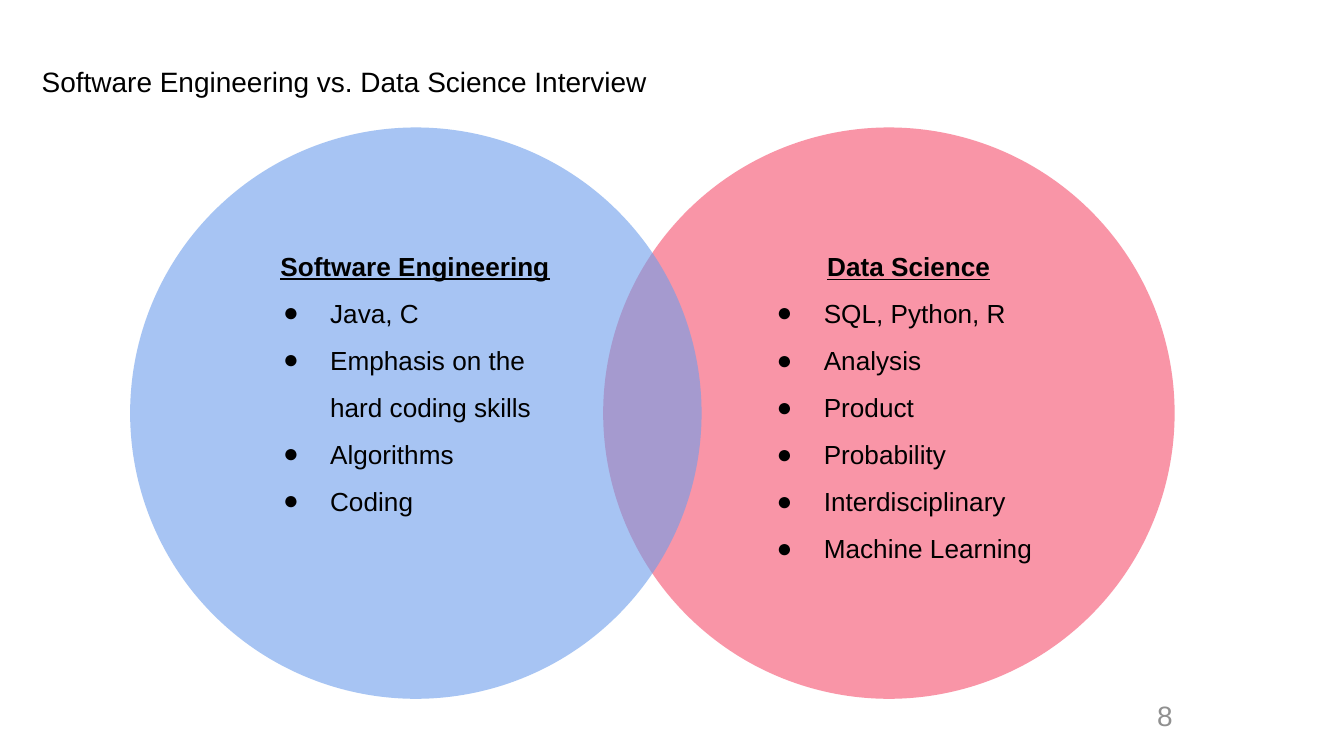
from lxml.etree import SubElement
from pptx import Presentation
from pptx.dml.color import RGBColor
from pptx.enum.shapes import MSO_SHAPE
from pptx.enum.text import MSO_ANCHOR, PP_ALIGN
from pptx.oxml.ns import qn
from pptx.util import Cm, Pt

COLOURS = {
    "text": "000000",
    "number": "909090",
    "science": "F7728A",
    "engineering": "6D9EEB",
}
CIRCLE_TOP, CIRCLE_SIZE = 2.41, 10.8
LIST_WIDTH = 6.25


class SlideBuilder:
    """Holds the style and the current slide."""

    font_name = "Arial"

    def __init__(self, page):
        self.page = page

    def text_box(self, left, top, width, height, margins, anchor):
        box = self.page.shapes.add_textbox(Cm(left), Cm(top), Cm(width), Cm(height))
        frame = box.text_frame
        sides = ("margin_left", "margin_top", "margin_right", "margin_bottom")
        formats = dict(zip(sides, map(Cm, margins)))
        formats.update(word_wrap=True, vertical_anchor=anchor)
        for name, value in formats.items():
            setattr(frame, name, value)
        return frame

    def add_span(self, para, text, size, colour="text", **formats):
        span = para.add_run()
        span.text = text
        formats.update(name=self.font_name, size=Pt(size))
        for name, value in formats.items():
            setattr(span.font, name, value)
        span.font.color.rgb = RGBColor.from_string(COLOURS[colour])

    def label(self, text, place, margins, anchor, colour="text"):
        frame = self.text_box(*place, margins, anchor)
        self.add_span(frame.paragraphs[0], text, 15, colour)

    def circle(self, left, colour, opacity):
        shape = self.page.shapes.add_shape(
            MSO_SHAPE.OVAL, Cm(left), Cm(CIRCLE_TOP), Cm(CIRCLE_SIZE), Cm(CIRCLE_SIZE))
        shape.shadow.inherit = False
        shape.line.fill.background()
        shape.fill.solid()
        shape.fill.fore_color.rgb = RGBColor.from_string(COLOURS[colour])
        hue = shape._element.spPr.find(".//" + qn("a:srgbClr"))
        SubElement(hue, qn("a:alpha"), val=str(opacity * 1000))

    def bullet(self, para):
        properties = para._p.get_or_add_pPr()
        properties.set("marL", str(int(Cm(1.27))))
        properties.set("indent", str(int(Cm(-0.89))))
        hue = SubElement(properties, qn("a:buClr"))
        SubElement(hue, qn("a:srgbClr"), val=COLOURS["text"])
        SubElement(properties, qn("a:buFont"), typeface=self.font_name)
        SubElement(properties, qn("a:buChar"), char="●")

    def topic_list(self, left, top, height, heading, items):
        # The deeper bottom margin lifts the centred list
        frame = self.text_box(left, top, LIST_WIDTH, height,
                              (0.25, 0.25, 0.25, 0.76), MSO_ANCHOR.MIDDLE)
        para = frame.paragraphs[0]
        para.alignment = PP_ALIGN.CENTER
        para.line_spacing = 1.5
        self.add_span(para, heading, 14, bold=True, underline=True)
        for item in items:
            para = frame.add_paragraph()
            self.bullet(para)
            para.line_spacing = 1.5
            self.add_span(para, item, 14)


def main():
    deck = Presentation()
    deck.slide_width, deck.slide_height = Cm(25.4), Cm(14.29)
    builder = SlideBuilder(deck.slides.add_slide(deck.slide_layouts[6]))

    # Title and page number
    builder.label("Software Engineering vs. Data Science Interview",
                  (0.69, 1.17, 11.79, 0.74), (0.1, 0.05, 0.1, 0.05), MSO_ANCHOR.TOP)
    builder.label("8", (21.62, 13.16, 0.71, 0.74), (0.25,) * 4,
                  MSO_ANCHOR.MIDDLE, "number")

    # Right circle
    builder.circle(11.4, "science", 75)
    builder.topic_list(14.05, 4.55, 6.5, "Data Science", [
        "SQL, Python, R", "Analysis", "Product", "Probability",
        "Interdisciplinary", "Machine Learning"])

    # Left circle, overlapping the right one
    builder.circle(2.46, "engineering", 60)
    builder.topic_list(4.72, 4.29, 6.12, "Software Engineering", [
        "Java, C", "Emphasis on the hard coding skills", "Algorithms", "Coding"])

    deck.save("out.pptx")


if __name__ == "__main__":
    main()
